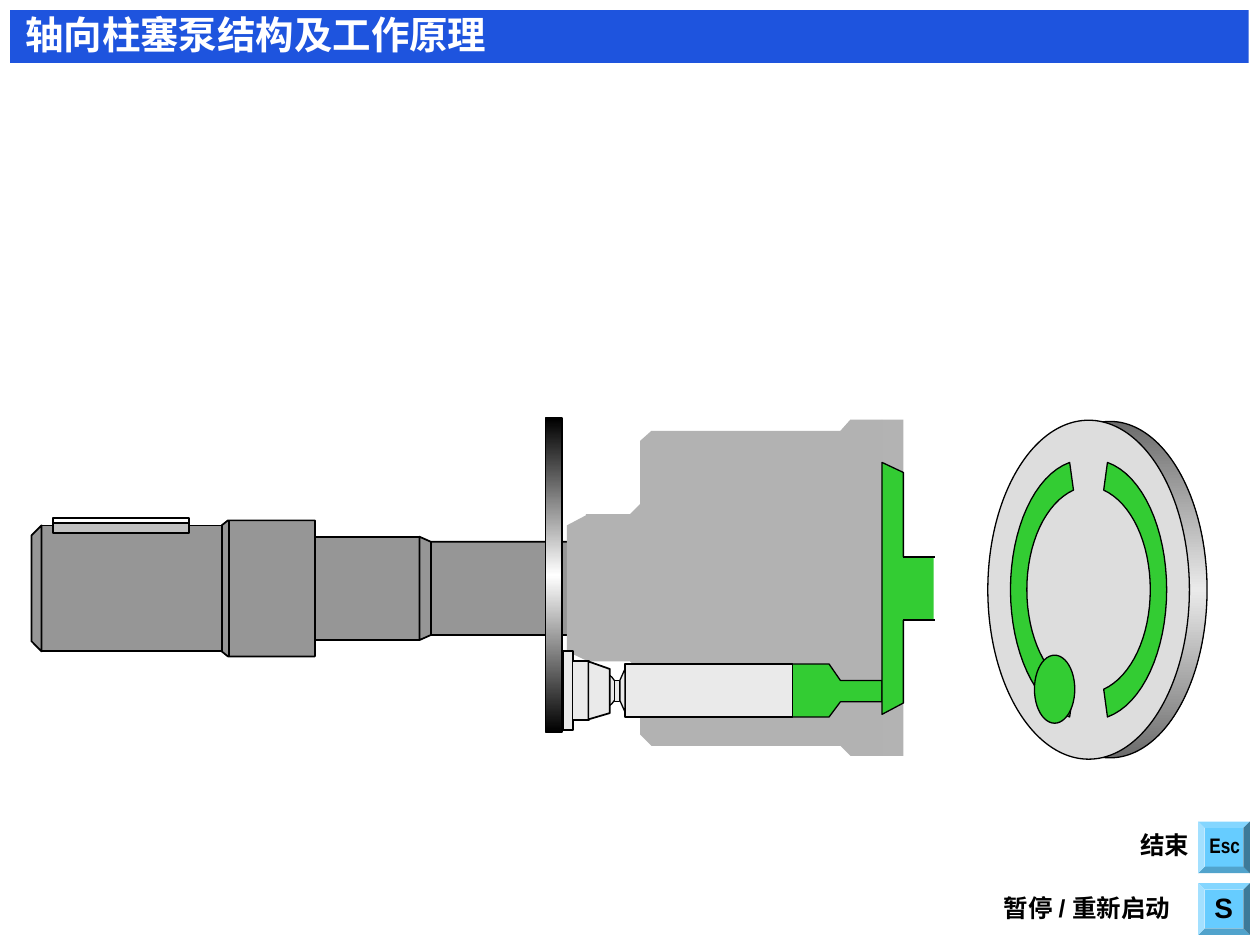
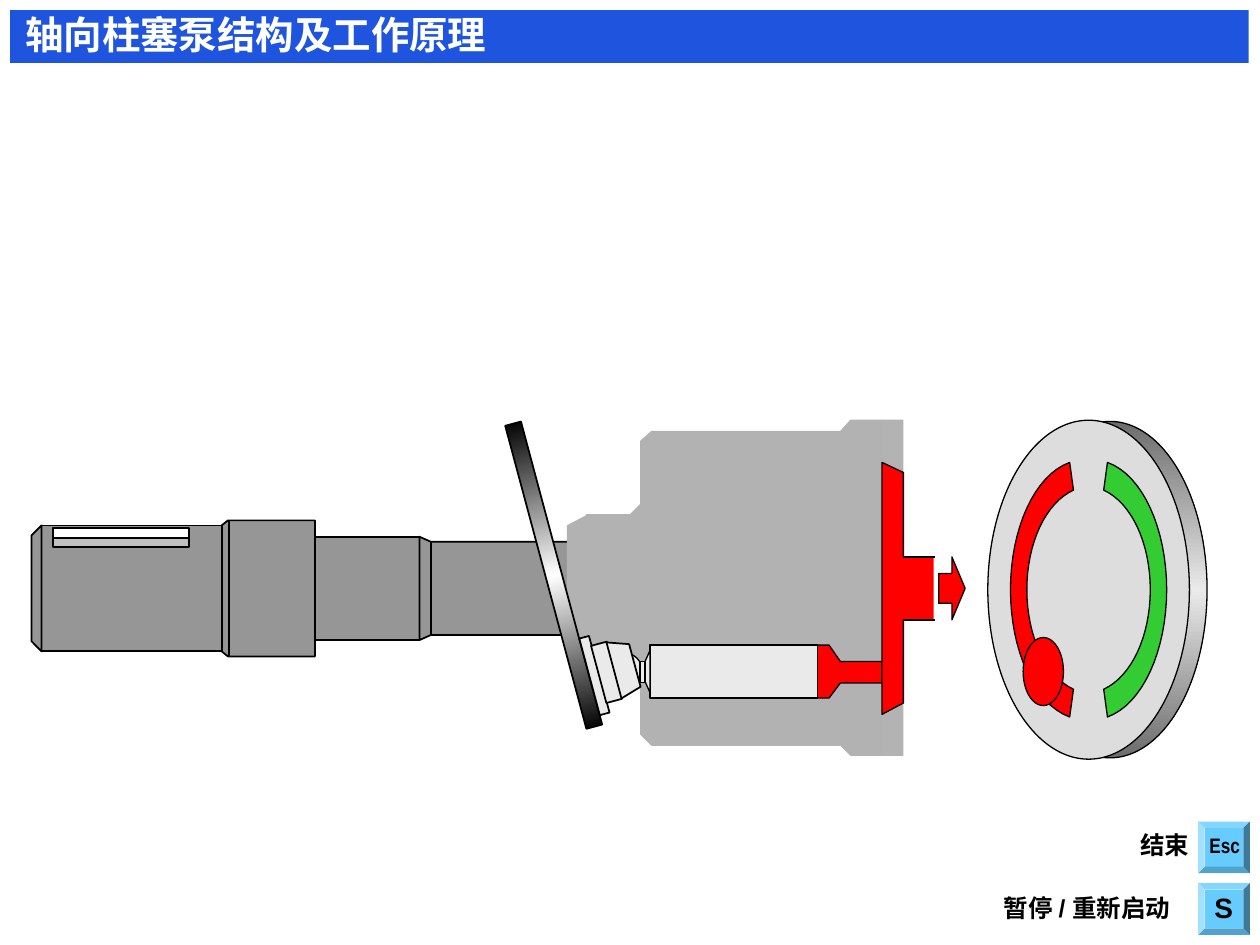
from math import cos, radians, sin

from lxml.etree import SubElement
from pptx import Presentation
from pptx.dml.color import RGBColor
from pptx.enum.shapes import MSO_CONNECTOR, MSO_SHAPE
from pptx.enum.text import MSO_ANCHOR, PP_ALIGN
from pptx.oxml.ns import qn
from pptx.util import Inches, Pt

COLORS = {
    "band": "1E54DE", "white": "FFFFFF", "black": "000000", "key": "66CCFF",
    "shaft": "969696", "housing": "B2B2B2", "housing_end": "B3B3B3",
    "steel": "EAEAEA", "face": "DDDDDD", "rim": "6C6C6C", "slot": "C0C0C0",
    "suction": "33CC33", "pressure": "FF0000",
}
TITLE = "轴向柱塞泵结构及工作原理"
FINE, BOLD = 0.75, 1


def rgb(name):
    return RGBColor.from_string(COLORS[name])


def paint(sp, fill, line=None):
    sp.shadow.inherit = False
    sp.fill.solid()
    sp.fill.fore_color.rgb = rgb(fill)
    if line:
        sp.line.color.rgb = rgb("black")
        sp.line.width = Pt(line)
    else:
        sp.line.fill.background()
    return sp


def shade(sp, edge, middle):
    """Vertical gradient running edge, middle, edge."""
    sp.fill.gradient()
    sp.fill.gradient_angle = 90
    stops = sp._element.spPr.find(qn("a:gradFill")).find(qn("a:gsLst"))
    for stop in list(stops):
        stops.remove(stop)
    for pos, name in ((0, edge), (50000, middle), (100000, edge)):
        stop = SubElement(stops, qn("a:gs"), pos=str(pos))
        SubElement(stop, qn("a:srgbClr"), val=COLORS[name])


def add_shape(slide, x, y, w, h, fill, line=None, kind=MSO_SHAPE.RECTANGLE):
    sp = slide.shapes.add_shape(kind, Inches(x), Inches(y), Inches(w), Inches(h))
    return paint(sp, fill, line)


def add_ellipse(slide, cx, cy, w, h, fill, line=FINE):
    return add_shape(slide, cx - w / 2, cy - h / 2, w, h, fill, line, MSO_SHAPE.OVAL)


def add_outline(slide, x, y, points, fill, line=None):
    """Closed polygon with points measured from (x, y)."""
    pts = [(Inches(x + px), Inches(y + py)) for px, py in points]
    builder = slide.shapes.build_freeform(*pts[0])
    builder.add_line_segments(pts[1:], close=True)
    return paint(builder.convert_to_shape(), fill, line)


def add_line(slide, x1, y1, x2, y2, width):
    ln = slide.shapes.add_connector(
        MSO_CONNECTOR.STRAIGHT, Inches(x1), Inches(y1), Inches(x2), Inches(y2))
    ln.line.color.rgb = rgb("black")
    ln.line.width = Pt(width)
    SubElement(ln._element.spPr, qn("a:effectLst"))


def write(sp, text, size, color="black", font="Arial", shadow=None):
    tf = sp.text_frame
    tf.word_wrap = False
    tf.vertical_anchor = MSO_ANCHOR.TOP
    tf.margin_right = 0
    p = tf.paragraphs[0]
    p.text = text
    p.alignment = PP_ALIGN.LEFT
    p.font.size = Pt(size)
    p.font.name = font
    p.font.bold = True
    p.font.color.rgb = rgb(color)
    if shadow:
        effects = SubElement(p.runs[0]._r.get_or_add_rPr(), qn("a:effectLst"))
        cast = SubElement(effects, qn("a:outerShdw"), dist="25400", dir="2700000")
        SubElement(cast, qn("a:srgbClr"), val=COLORS[shadow])


def place(sp, x, y, w, h):
    sp.left, sp.top, sp.width, sp.height = (Inches(v) for v in (x, y, w, h))


def add_text(slide, x, y, w, h, text, size, **style):
    write(slide.shapes.add_textbox(Inches(x), Inches(y), Inches(w), Inches(h)),
          text, size, **style)


def title_band(slide):
    title = slide.shapes.title
    band = add_shape(slide, 0.08, 0.08, 9.83, 0.42, "band")
    title._element.addprevious(band._element)
    place(title, 0.1, 0.04, 4.2, 0.47)
    write(title, TITLE, 22, "white", "Arial Narrow", "black")


def key_hints(slide, x, y):
    for i in range(2):
        key = add_shape(slide, x, y + 0.49 * i, 0.41, 0.41, "key", kind=MSO_SHAPE.BEVEL)
        key.adjustments[0] = 0.125
    add_text(slide, x - 0.01, y + 0.04, 0.44, 0.3, "Esc", 12,
             font="Arial Narrow", shadow="white")
    add_text(slide, x + 0.03, y + 0.5, 0.35, 0.37, "S", 16, shadow="white")
    add_text(slide, x - 0.56, y + 0.02, 0.56, 0.34, "结束", 14)
    add_text(slide, x - 1.64, y + 0.52, 1.64, 0.34, "暂停 / 重新启动", 14)


def bezier(a, b, c, d, steps=16):
    """Points of a cubic curve after its start."""
    for i in range(1, steps + 1):
        t = i / steps
        u = 1 - t
        yield tuple(u**3 * p + 3 * u * u * t * q + 3 * u * t * t * r + t**3 * s
                    for p, q, r, s in zip(a, b, c, d))


def kidney_port(slide, cx, cy, side, fill):
    """Curved port beside (cx, cy); side is -1 for left, 1 for right."""
    def half_ring(tip, bulge, dy, pull, reach):
        pts = [(tip, dy)]
        pts += bezier(pts[0], (pull, dy - 0.1), (bulge, reach), (bulge, 0))
        return pts + [(px, -py) for px, py in pts[-2::-1]]

    inner = half_ring(0.12, 0.49, 0.79, 0.34, 0.37)
    outer = half_ring(0.15, 0.62, 1.01, 0.43, 0.48)
    ring = inner + outer[::-1]
    add_outline(slide, cx, cy, [(side * px, py) for px, py in ring], fill, FINE)


def valve_plate(slide, cx, cy, port_color, bore_x, bore_y):
    """Valve plate centred on (cx, cy), with the bore offset from there."""
    shade(add_ellipse(slide, cx + 0.17, cy, 1.54, 2.67, "rim"), "rim", "steel")
    add_ellipse(slide, cx, cy, 1.6, 2.69, "face")
    kidney_port(slide, cx, cy, -1, port_color)
    kidney_port(slide, cx, cy, 1, "suction")
    add_ellipse(slide, cx + bore_x, cy + bore_y, 0.32, 0.54, port_color)


def shaft(slide, x, cy):
    """Drive shaft starting at x on the axis cy."""
    add_shape(slide, x + 2.24, cy - 0.41, 0.84, 0.82, "shaft", BOLD)
    add_outline(slide, x, cy, [(1.51, -0.5), (1.56, -0.54), (2.25, -0.54),
                              (2.25, 0.54), (1.56, 0.54), (1.51, 0.5)], "shaft", BOLD)
    add_shape(slide, x + 0.08, cy - 0.5, 1.43, 1, "shaft", BOLD)
    add_outline(slide, x, cy, [(0.08, -0.5), (0, -0.42), (0, 0.42), (0.08, 0.5)],
                "shaft", BOLD)
    add_outline(slide, x, cy, [
        (3.08, -0.41), (3.17, -0.37), (4.36, -0.37), (4.45, -0.41),
        (4.45, 0.41), (4.36, 0.37), (3.17, 0.37), (3.08, 0.41)], "shaft", BOLD)
    for dx, half in ((1.57, 0.54), (3.17, 0.37), (4.37, 0.37)):
        add_line(slide, x + dx, cy - half, x + dx, cy + half, BOLD)


def cylinder_block(slide, x, y):
    add_shape(slide, x + 2.5, y, 0.17, 2.67, "housing_end")
    add_outline(slide, x, y, [
        (2.5, 0), (2.25, 0), (2.17, 0.09), (0.67, 0.09), (0.58, 0.17),
        (0.58, 2.5), (0.67, 2.59), (2.17, 2.59), (2.25, 2.67), (2.5, 2.67)], "housing")
    add_outline(slide, x, y, [(0.58, 0.67), (0.5, 0.75), (0.5, 1.92), (0.58, 2)], "housing")
    add_shape(slide, x + 0.15, y + 0.75, 0.36, 1.17, "housing")
    add_outline(slide, x, y, [(0.17, 0.75), (0, 0.84), (0, 1.84), (0.17, 1.92)], "housing")


def swash_plate(slide, x, y, tilt):
    plate = add_shape(slide, x, y, 0.13, 2.49, "black", BOLD)
    shade(plate, "black", "white")
    plate.rotation = -tilt


def bore(slide, x, cy, fill):
    """Fluid chamber behind the piston, on the axis cy."""
    add_outline(slide, x, cy, [
        (0, -0.21), (1.33, -0.21), (1.42, -0.08), (1.75, -0.08),
        (1.75, 0.09), (1.42, 0.09), (1.33, 0.21), (0, 0.21)], fill, FINE)


def piston(slide, cx, cy):
    """Piston with its ball centred on (cx, cy)."""
    add_ellipse(slide, cx, cy, 0.3, 0.3, "steel")
    add_shape(slide, cx + 0.21, cy - 0.21, 1.33, 0.42, "steel", FINE)
    add_outline(slide, cx, cy, [(0.21, -0.17), (0.17, -0.08), (0.17, 0.08), (0.21, 0.17)],
                "steel", FINE)
    add_shape(slide, cx + 0.13, cy - 0.08, 0.04, 0.17, "steel", FINE)


def slipper(slide, cx, cy, tilt):
    """Slipper turned by tilt degrees about (cx, cy)."""
    c, s = cos(radians(tilt)), sin(radians(tilt))

    def turn(px, py):
        return px * c + py * s, py * c - px * s

    for dx, w, h in ((-0.24, 0.08, 0.63), (-0.14, 0.13, 0.47)):
        px, py = turn(dx, 0)
        sp = add_shape(slide, cx + px - w / 2, cy + py - h / 2, w, h, "steel", BOLD)
        sp.rotation = -tilt
    cone = [(-0.08, -0.23), (0.09, -0.17), (0.09, 0.18), (-0.08, 0.23)]
    add_outline(slide, cx, cy, [turn(*pt) for pt in cone], "steel", BOLD)


def outlet(slide, x, y, fill):
    add_outline(slide, x, y, [(0, 2), (0, 0), (0.17, 0.08), (0.17, 1.91)], fill, FINE)
    add_shape(slide, x + 0.08, y + 0.75, 0.33, 0.5, fill)
    for dy in (0.75, 1.25):
        add_line(slide, x + 0.17, y + dy, x + 0.42, y + dy, FINE)


def shaft_key(slide, x, bars):
    for y, h, fill in bars:
        add_shape(slide, x, y, 1.08, h, fill, BOLD)


def flow_arrow(slide, x, y):
    arrow = add_shape(slide, x, y, 0.21, 0.5, "pressure", FINE, MSO_SHAPE.RIGHT_ARROW)
    arrow.adjustments[0] = 0.475
    arrow.adjustments[1] = 0.5


def pump_slide(prs, fluid, tilt, ball, pivot, plate_bore, key_bars):
    slide = prs.slides.add_slide(prs.slide_layouts[5])
    title_band(slide)
    key_hints(slide, 9.51, 6.52)
    valve_plate(slide, 8.64, 4.68, fluid, *plate_bore)
    shaft(slide, 0.25, 4.67)
    cylinder_block(slide, 4.5, 3.33)
    swash_plate(slide, 4.33, 3.32, tilt)
    bore(slide, 5.25, ball[1], fluid)
    piston(slide, *ball)
    slipper(slide, *pivot, tilt)
    outlet(slide, 7, 3.67, fluid)
    shaft_key(slide, 0.42, key_bars)
    return slide


def main():
    prs = Presentation()
    prs.slide_width, prs.slide_height = Inches(10), Inches(7.5)
    pump_slide(prs, "suction", 0, ball=(4.75, 5.48), pivot=(4.75, 5.48),
               plate_bore=(-0.27, 0.79),
               key_bars=[(4.11, 0.04, "white"), (4.15, 0.08, "slot")])
    slide = pump_slide(prs, "pressure", 15, ball=(4.95, 5.33), pivot=(4.95, 5.3),
                       plate_bore=(-0.36, 0.65),
                       key_bars=[(4.27, 0.07, "slot"), (4.19, 0.08, "white")])
    flow_arrow(slide, 7.45, 4.42)
    prs.save("out.pptx")


if __name__ == "__main__":
    main()
